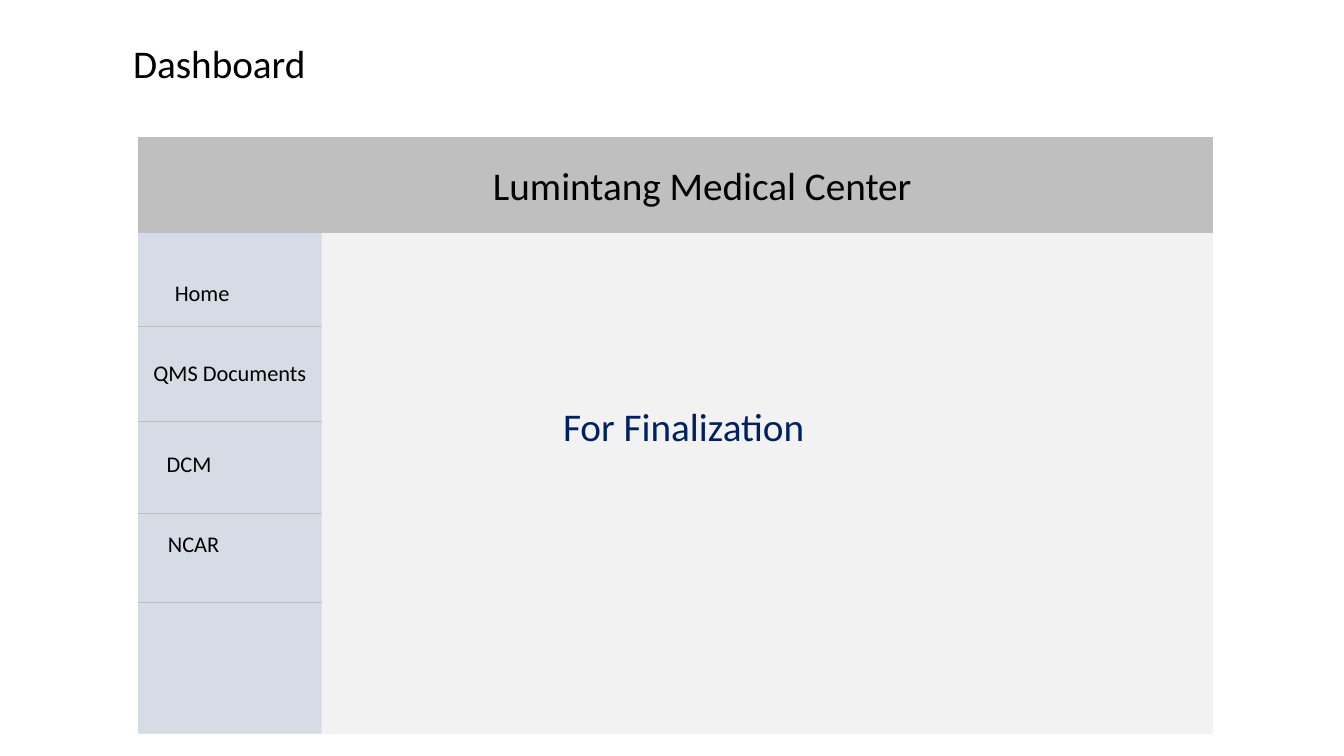
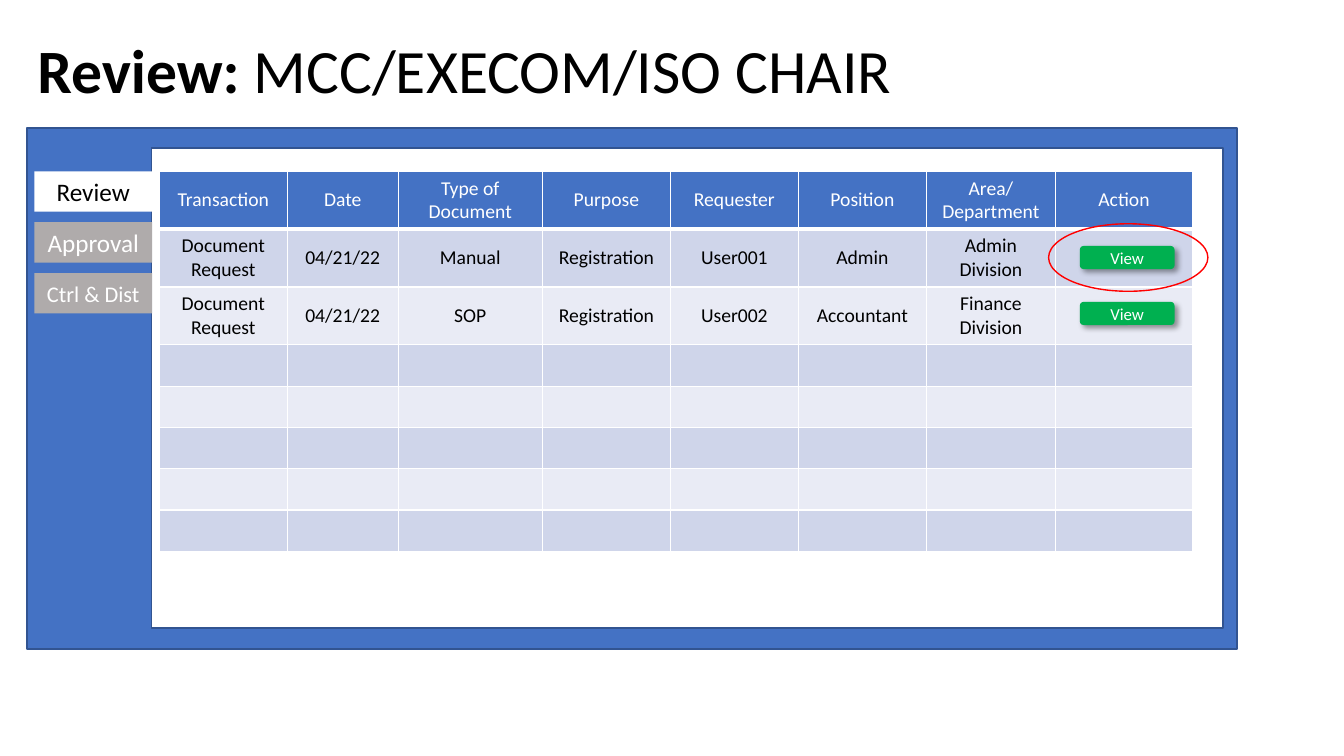
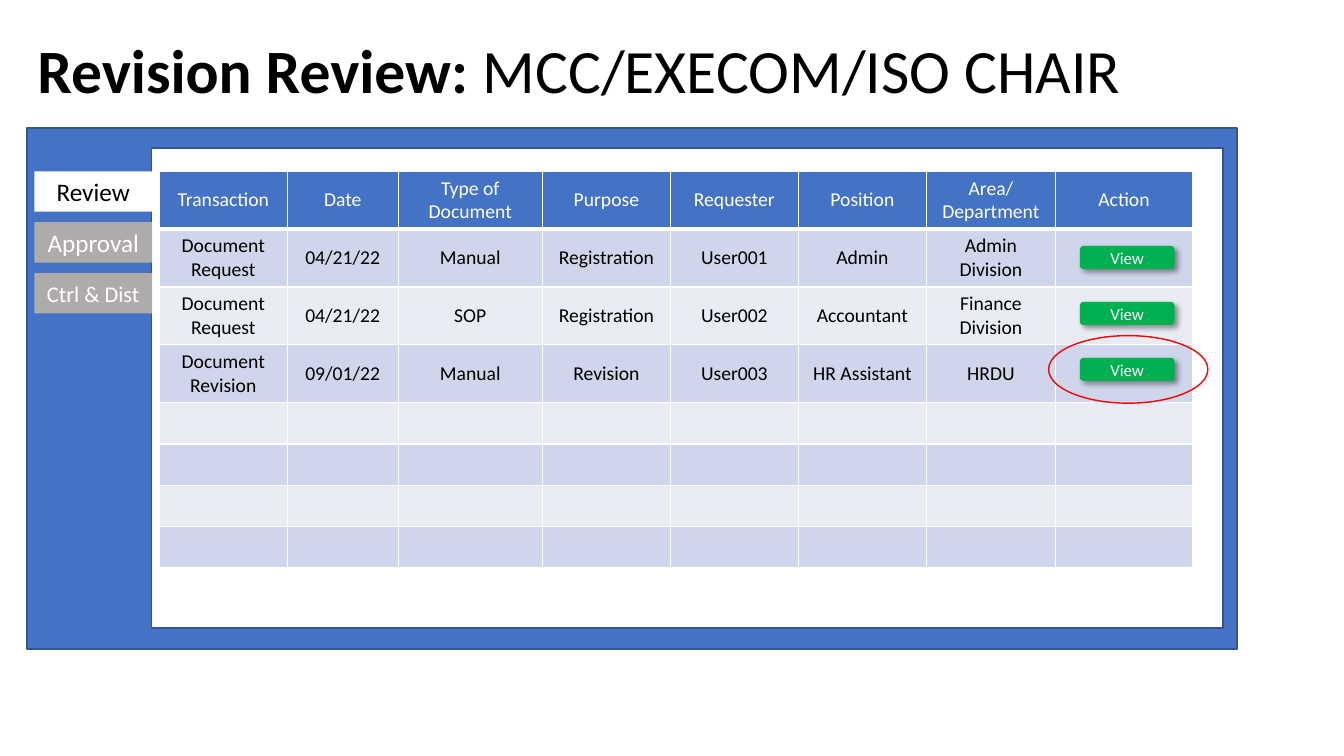
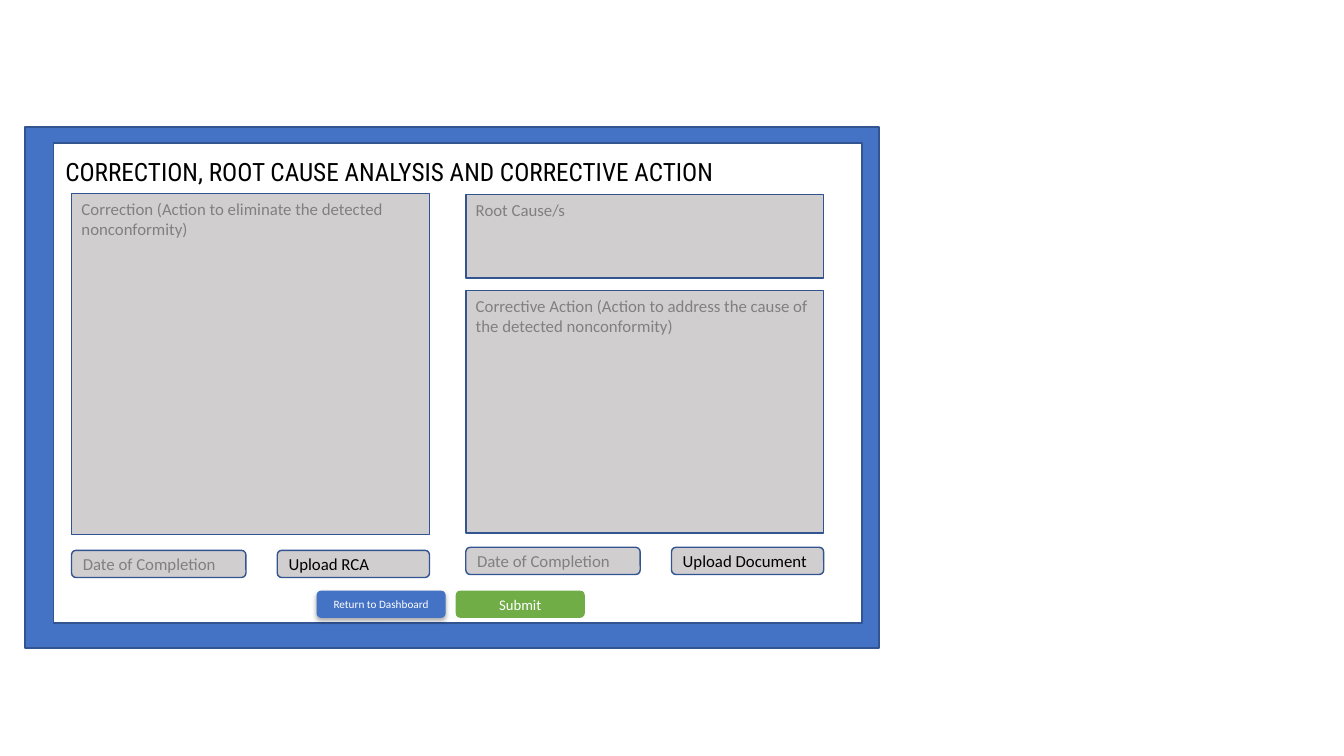
from dataclasses import dataclass

from lxml import etree
from pptx import Presentation
from pptx.dml.color import RGBColor
from pptx.enum import shapes, text
from pptx.oxml import ns
from pptx.util import Inches, Pt

KIND = shapes.MSO_SHAPE
ALIGN = text.PP_ALIGN
ANCHOR = text.MSO_ANCHOR
FIT = text.MSO_AUTO_SIZE


@dataclass(frozen=True)
class Theme:
    # colours
    black: str = "000000"
    white: str = "FFFFFF"
    navy: str = "002060"
    blue: str = "4472C4"
    outline: str = "325491"
    canvas: str = "F2F2F2"
    sidebar: str = "D6DCE5"
    banner: str = "BFBFBF"
    idle_tab: str = "AFABAB"
    field: str = "D0CECE"
    hint: str = "808080"
    view: str = "00B050"
    submit: str = "70AD47"
    ring: str = "FF0000"
    bands: tuple = ("CFD5EA", "E9EBF5")
    # type
    font: str = "Calibri"
    form_font: str = "Roboto Condensed"
    title: float = 44
    heading: float = 28
    tab: float = 18
    nav: float = 16
    cell: float = 14
    small: float = 12
    button: float = 10.5
    tiny: float = 8


THEME = Theme()

# blur, distance (points), direction (degrees), opacity (percent)
VIEW_SHADOW = (4, 3, 45, 40)
BUTTON_SHADOW = (3.5, 2.2, 90, 32)

COLUMNS = {
    "Transaction": 1.27, "Date": 1.1, "Type of Document": 1.43, "Purpose": 1.27,
    "Requester": 1.27, "Position": 1.27, "Area/\nDepartment": 1.28, "Action": 1.36,
}
REQUESTS = [
    ("Document Request", "04/21/22", "Manual", "Registration", "User001", "Admin",
     "Admin Division"),
    ("Document Request", "04/21/22", "SOP", "Registration", "User002", "Accountant",
     "Finance Division"),
    ("Document Revision", "09/01/22", "Manual", "Revision", "User003", "HR Assistant",
     "HRDU"),
]
TABLE_ROWS = 8
TEXT_ROW, EMPTY_ROW = 0.57, 0.41
VIEW_STEP = 0.555


# Formatting helpers
def apply(target, **values):
    for name, value in values.items():
        setattr(target, name, value)


def style(font, size, color, **extra):
    apply(font, **{"name": THEME.font, "size": Pt(size), "bold": False, **extra})
    font.color.rgb = RGBColor.from_string(color)


def write(frame, words, size, color, align=ALIGN.CENTER, **extra):
    frame.text = words
    for paragraph in frame.paragraphs:
        paragraph.alignment = align
        for run in paragraph.runs:
            style(run.font, size, color, **extra)


def paint(fill, color):
    fill.solid()
    fill.fore_color.rgb = RGBColor.from_string(color)


def cast_shadow(shape, blur, distance, angle, opacity):
    effects = shape._element.spPr.find(ns.qn("a:effectLst"))
    outer = etree.SubElement(effects, ns.qn("a:outerShdw"), blurRad=str(Pt(blur)),
                             dist=str(Pt(distance)), dir=str(angle * 60000),
                             algn="t", rotWithShape="0")
    color = etree.SubElement(outer, ns.qn("a:srgbClr"), val=THEME.black)
    etree.SubElement(color, ns.qn("a:alpha"), val=str(opacity * 1000))


def border(cell, bottom):
    properties = cell._tc.get_or_add_tcPr()
    widths = {"a:lnL": 1, "a:lnR": 1, "a:lnT": 1, "a:lnB": bottom}
    for index, (side, width) in enumerate(widths.items()):
        edge = etree.Element(ns.qn(side), w=str(Pt(width)))
        solid = etree.SubElement(edge, ns.qn("a:solidFill"))
        etree.SubElement(solid, ns.qn("a:srgbClr"), val=THEME.white)
        properties.insert(index, edge)


# Elements
def add_block(slide, box, fill=None, line=None, kind=KIND.RECTANGLE, shadow=None):
    block = slide.shapes.add_shape(kind, *map(Inches, box))
    block.shadow.inherit = False
    if fill:
        paint(block.fill, fill)
    else:
        block.fill.background()
    if line:
        paint(block.line.fill, line)
        block.line.width = Pt(1)
    else:
        block.line.fill.background()
    if shadow:
        cast_shadow(block, *shadow)
    return block


def add_button(slide, box, words, fill, size, color=THEME.white, **look):
    button = add_block(slide, box, fill, **look)
    write(button.text_frame, words, size, color)
    button.text_frame.vertical_anchor = ANCHOR.MIDDLE


def add_field(slide, box, words, color=THEME.hint, kind=KIND.RECTANGLE,
              anchor=ANCHOR.TOP):
    field = add_block(slide, box, THEME.field, THEME.outline, kind)
    write(field.text_frame, words, THEME.small, color, ALIGN.LEFT)
    field.text_frame.vertical_anchor = anchor


def add_label(slide, box, words, size, color=THEME.black, wrap=False,
              align=ALIGN.CENTER, **extra):
    frame = slide.shapes.add_textbox(*map(Inches, box)).text_frame
    apply(frame, word_wrap=wrap, auto_size=FIT.SHAPE_TO_FIT_TEXT)
    write(frame, words, size, color, align, **extra)


def add_divider(slide, left, right, y):
    ends = map(Inches, (left, y, right, y))
    divider = slide.shapes.add_connector(shapes.MSO_CONNECTOR.STRAIGHT, *ends)
    paint(divider.line.fill, THEME.banner)
    divider.line.width = Pt(0.5)
    etree.SubElement(divider._element.spPr, ns.qn("a:effectLst"))


def set_title(slide, box, parts, size, align=ALIGN.LEFT):
    title = slide.shapes.title
    apply(title, **dict(zip(("left", "top", "width", "height"), map(Inches, box))))
    apply(title.text_frame, vertical_anchor=ANCHOR.MIDDLE, auto_size=FIT.NONE,
          word_wrap=True)
    paragraph = title.text_frame.paragraphs[0]
    apply(paragraph, alignment=align, line_spacing=0.9)
    for words, bold in parts:
        run = paragraph.add_run()
        run.text = words
        style(run.font, size, THEME.black, bold=bold)


def add_panel(slide, outer, inner):
    add_block(slide, outer, THEME.blue, THEME.outline)
    add_block(slide, inner, THEME.white, THEME.outline)


def add_request_table(slide, requests):
    records = [tuple(COLUMNS), *requests]
    heights = [TEXT_ROW if row < len(records) else EMPTY_ROW for row in range(TABLE_ROWS)]
    box = (1.58, 1.7, sum(COLUMNS.values()), sum(heights))
    table = slide.shapes.add_table(TABLE_ROWS, len(COLUMNS), *map(Inches, box)).table
    apply(table, first_row=False, horz_banding=False)
    for column, width in zip(table.columns, COLUMNS.values()):
        column.width = Inches(width)
    for index, (row, height) in enumerate(zip(table.rows, heights)):
        row.height = Inches(height)
        header = index == 0
        values = records[index] if index < len(records) else ()
        for cell in row.cells:
            paint(cell.fill, THEME.blue if header else THEME.bands[(index - 1) % 2])
            border(cell, bottom=3 if header else 1)
            cell.vertical_anchor = ANCHOR.MIDDLE
        for cell, words in zip(row.cells, values):
            write(cell.text_frame, words, THEME.cell,
                  THEME.white if header else THEME.black)


# Slides
def dashboard_slide(deck):
    slide = deck.slides.add_slide(deck.slide_layouts[5])
    set_title(slide, (1.21, 0.37, 1.93, 0.57), [("Dashboard", False)], THEME.heading,
              ALIGN.CENTER)
    left, top, width, banner_height = 1.37, 1.36, 10.66, 0.95
    menu_top, menu_width = top + banner_height, 1.82
    add_block(slide, (left, top, width, 5.92), THEME.canvas)
    add_block(slide, (left, menu_top, menu_width, 4.97), THEME.sidebar)
    add_block(slide, (left, top, width, banner_height), THEME.banner)
    add_label(slide, (4.68, 1.55, 4.57, 0.57), "Lumintang Medical Center", THEME.heading)
    menu = [("Home", 1.63, 2.72, 0.75), ("QMS Documents", 1.41, 3.51, 1.74),
            ("DCM", 1.55, 4.42, 0.65), ("NCAR", 1.56, 5.21, 0.72)]
    for words, x, y, item_width in menu:
        add_label(slide, (x, y, item_width, 0.37), words, THEME.nav)
    for y in (3.24, 4.18, 5.09, 5.98):
        add_divider(slide, left, left + menu_width, y)
    add_label(slide, (5.47, 3.94, 2.62, 0.57), "For Finalization", THEME.heading,
              THEME.navy)


def review_slide(deck, stage, requests, ringed):
    slide = deck.slides.add_slide(deck.slide_layouts[5])
    set_title(slide, (0.27, 0.27, 11.5, 0.92),
              [(stage, True), (" MCC/EXECOM/ISO CHAIR", False)], THEME.title)
    add_panel(slide, (0.27, 1.27, 12, 5.17), (1.5, 1.47, 10.63, 4.76))
    add_request_table(slide, requests)
    # Action buttons and the ring around one of them
    for index in range(len(requests)):
        add_button(slide, (10.71, 2.44 + index * VIEW_STEP, 0.94, 0.23), "View",
                   THEME.view, THEME.small, kind=KIND.ROUNDED_RECTANGLE,
                   shadow=VIEW_SHADOW)
    add_block(slide, (10.4, 2.22 + ringed * VIEW_STEP, 1.58, 0.67), line=THEME.ring,
              kind=KIND.OVAL)
    # Side tabs
    tabs = [("Review", THEME.white, THEME.tab, THEME.black),
            ("Approval", THEME.idle_tab, THEME.tab, THEME.white),
            ("Ctrl & Dist", THEME.idle_tab, THEME.nav, THEME.white)]
    for index, (words, fill, size, color) in enumerate(tabs):
        add_button(slide, (0.34, 1.7 + index * 0.505, 1.17, 0.4), words, fill, size, color)


def correction_slide(deck):
    slide = deck.slides.add_slide(deck.slide_layouts[6])
    add_panel(slide, (0.25, 1.26, 8.47, 5.17), (0.53, 1.42, 8.02, 4.76))
    add_label(slide, (0.55, 1.5, 7.24, 0.4),
              "CORRECTION, ROOT CAUSE ANALYSIS AND CORRECTIVE ACTION", THEME.tab,
              wrap=True, align=ALIGN.LEFT, name=THEME.form_font)
    # Answer fields
    first, second, width = 0.71, 4.62, 3.55
    add_field(slide, (first, 1.92, width, 3.38),
              "Correction (Action to eliminate the detected nonconformity)")
    add_field(slide, (second, 1.93, width, 0.83), "Root Cause/s",
              kind=KIND.FLOWCHART_PROCESS)
    add_field(slide, (second, 2.88, width, 2.41),
              "Corrective Action (Action to address the cause of the detected nonconformity)")
    # Date and upload fields under each column
    for x, y, upload in ((first, 5.46, "Upload RCA"), (second, 5.43, "Upload Document")):
        pair = [(x, 1.73, "Date of Completion", THEME.hint),
                (x + 2.04, 1.51, upload, THEME.black)]
        for field_x, field_width, words, color in pair:
            add_field(slide, (field_x, y, field_width, 0.27), words, color,
                      KIND.ROUNDED_RECTANGLE, ANCHOR.MIDDLE)
    # Form buttons
    buttons = [(3.14, "Return to Dashboard", THEME.blue, THEME.tiny, BUTTON_SHADOW),
               (4.52, "Submit", THEME.submit, THEME.button, None)]
    for x, words, fill, size, shadow in buttons:
        add_button(slide, (x, 5.86, 1.28, 0.27), words, fill, size,
                   kind=KIND.ROUNDED_RECTANGLE, shadow=shadow)


def main():
    deck = Presentation()
    apply(deck, slide_width=Inches(13.33), slide_height=Inches(7.5))
    dashboard_slide(deck)
    review_slide(deck, "Review:", REQUESTS[:2], ringed=0)
    review_slide(deck, "Revision Review:", REQUESTS, ringed=2)
    correction_slide(deck)
    deck.save("out.pptx")


if __name__ == "__main__":
    main()
